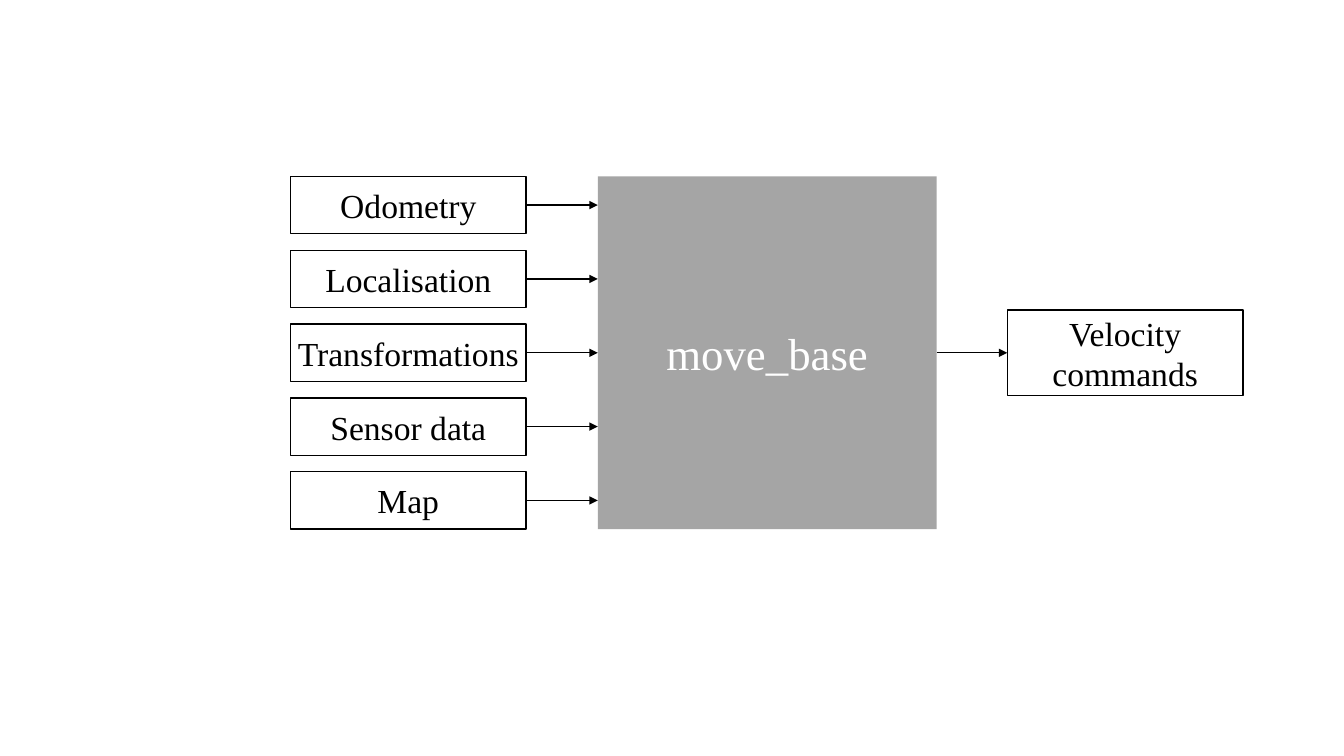
from lxml.etree import SubElement
from pptx import Presentation
from pptx.dml.color import RGBColor
from pptx.enum.shapes import MSO_CONNECTOR, MSO_SHAPE
from pptx.enum.text import MSO_ANCHOR, PP_ALIGN
from pptx.oxml.ns import qn
from pptx.util import Pt

BLACK = RGBColor(0x00, 0x00, 0x00)
WHITE = RGBColor(0xFF, 0xFF, 0xFF)
GRAY = RGBColor(0xA5, 0xA5, 0xA5)

LEFT_SIDE, RIGHT_SIDE = 1, 3


class Diagram:
    """Draws boxes and arrows in one style; lengths are in points."""

    font_name = "Times New Roman"
    line_width = 1

    def __init__(self, slide):
        self.slide = slide

    def box(self, text, left, top, width, height, size=24,
            fill=WHITE, color=BLACK, line=BLACK, side_margin=7.2):
        shape = self.slide.shapes.add_shape(
            MSO_SHAPE.RECTANGLE, Pt(left), Pt(top), Pt(width), Pt(height))
        shape.shadow.inherit = False
        shape.fill.solid()
        shape.fill.fore_color.rgb = fill
        if line is None:
            shape.line.fill.background()
        else:
            shape.line.color.rgb = line
            shape.line.width = Pt(self.line_width)

        frame = shape.text_frame
        frame.word_wrap = True
        frame.vertical_anchor = MSO_ANCHOR.MIDDLE
        frame.margin_left = frame.margin_right = Pt(side_margin)
        paragraph = frame.paragraphs[0]
        paragraph.text = text
        paragraph.alignment = PP_ALIGN.CENTER
        paragraph.font.name = self.font_name
        paragraph.font.size = Pt(size)
        paragraph.font.color.rgb = color
        return shape

    def arrow(self, source, target):
        """Runs level from the middle of the source's right side to the target."""
        middle = source.top + source.height // 2
        connector = self.slide.shapes.add_connector(
            MSO_CONNECTOR.STRAIGHT,
            source.left + source.width, middle, target.left, middle)
        connector.begin_connect(source, RIGHT_SIDE)
        if middle == target.top + target.height // 2:
            connector.end_connect(target, LEFT_SIDE)
        connector.line.color.rgb = BLACK
        connector.line.width = Pt(self.line_width)
        SubElement(connector.line._get_or_add_ln(), qn("a:tailEnd"), type="triangle")
        SubElement(connector._element.spPr, qn("a:effectLst"))


def main():
    presentation = Presentation()
    presentation.slide_width = Pt(960)
    presentation.slide_height = Pt(540)
    diagram = Diagram(presentation.slides.add_slide(presentation.slide_layouts[6]))

    # Central node
    top, height = 126, 252
    move_base = diagram.box("move_base", 427, top, 242, height, size=32,
                            fill=GRAY, color=WHITE, line=None)

    # Inputs, spread evenly over the height of the central node
    box_width, input_height = 168.5, 41
    inputs = ["Odometry", "Localisation", "Transformations", "Sensor data", "Map"]
    pitch = (height - input_height) / (len(inputs) - 1)
    for row, name in enumerate(inputs):
        margin = 2.88 if name == "Transformations" else 7.2
        input_box = diagram.box(name, 207.4, top + row * pitch, box_width,
                                input_height, side_margin=margin)
        diagram.arrow(input_box, move_base)

    # Output, centred on the central node
    output_height = 61
    output_top = top + (height - output_height) / 2
    velocity = diagram.box("Velocity\ncommands", 719.5, output_top,
                           box_width, output_height)
    diagram.arrow(move_base, velocity)

    presentation.save("out.pptx")


if __name__ == "__main__":
    main()
